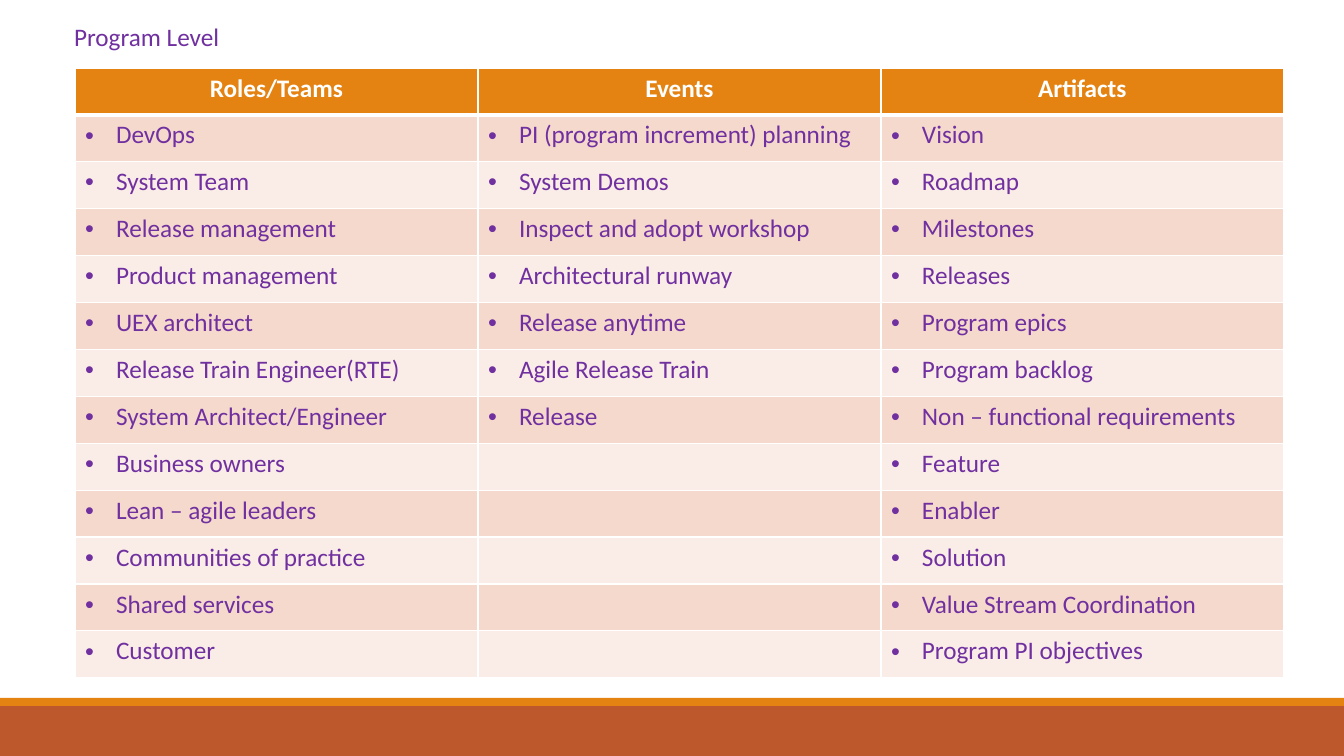
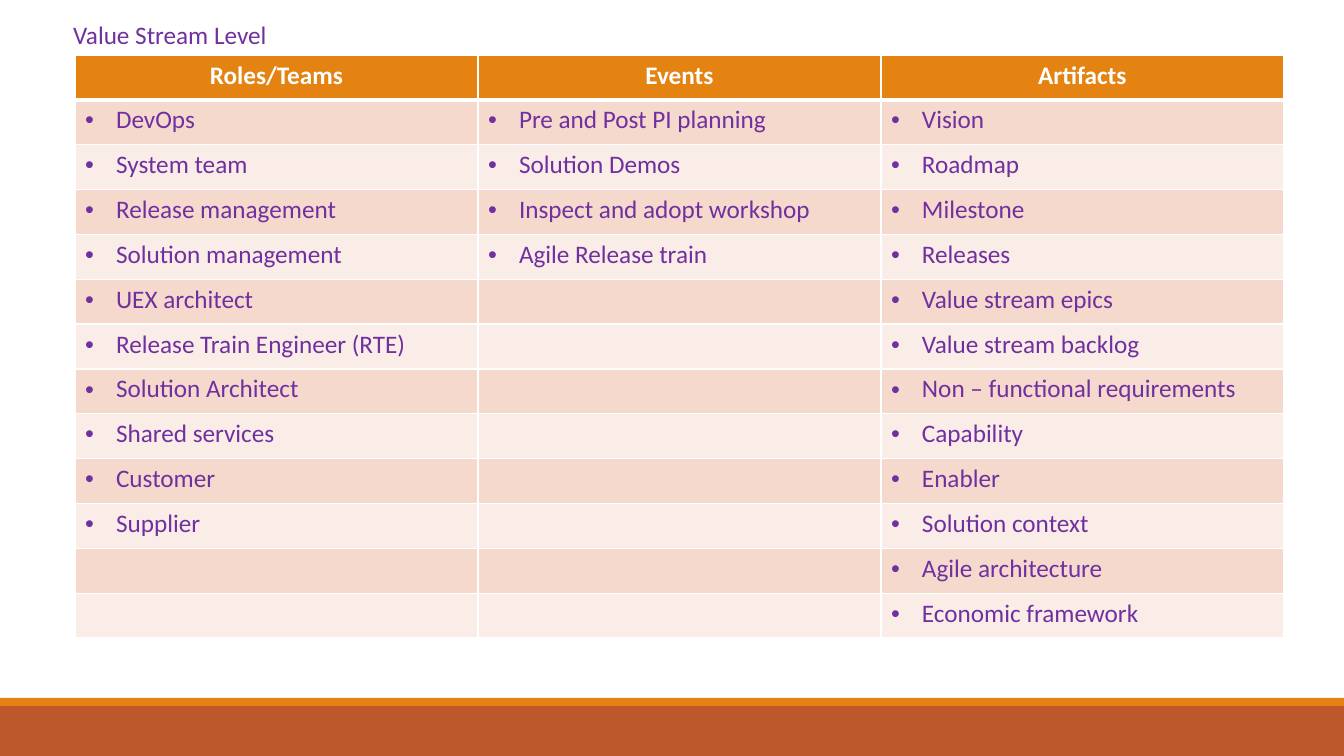
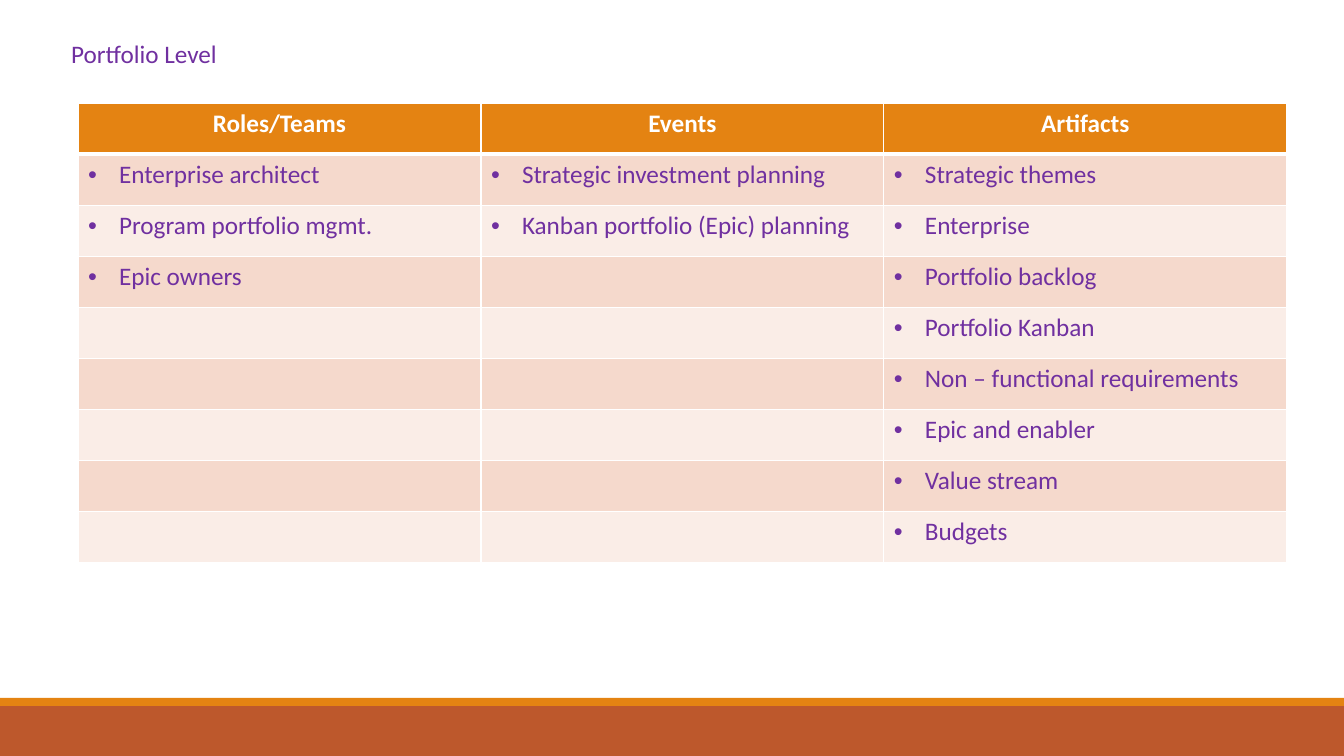
from itertools import zip_longest

from lxml.etree import SubElement
from pptx import Presentation
from pptx.dml.color import RGBColor
from pptx.enum.shapes import MSO_SHAPE
from pptx.enum.text import MSO_ANCHOR, MSO_AUTO_SIZE, PP_ALIGN
from pptx.oxml.ns import qn
from pptx.util import Emu, Pt

FONT = "Calibri"
COLORS = {
    "text": "7030A0",
    "white": "FFFFFF",
    "header": "E48312",
    "footer": "BD582C",
    "odd": "F5D9CC",
    "even": "FAEDE7",
}
PAGE_WIDTH, PAGE_HEIGHT = 1344, 756
TITLE_WIDTH, TITLE_HEIGHT = 307, 40
TABLE_WIDTH = 1209
BULLET_INDENT = 31
HEADINGS = ("Roles/Teams", "Events", "Artifacts")

LEVELS = [
    {
        "title": "Program Level",
        "title_at": (64, 16),
        "table_at": (75, 68),
        "table_height": 610,
        "columns": (
            ["DevOps", "System Team", "Release management", "Product management",
             "UEX architect", "Release Train Engineer(RTE)", "System Architect/Engineer",
             "Business owners", "Lean – agile leaders", "Communities of practice",
             "Shared services", "Customer"],
            ["PI (program increment) planning", "System Demos",
             "Inspect and adopt workshop", "Architectural runway", "Release anytime",
             "Agile Release Train", "Release"],
            ["Vision", "Roadmap", "Milestones", "Releases", "Program epics",
             "Program backlog", "Non – functional requirements", "Feature", "Enabler",
             "Solution", "Value Stream Coordination", "Program PI objectives"],
        ),
    },
    {
        "title": "Value Stream Level",
        "title_at": (63, 14),
        "table_at": (75, 55),
        "table_height": 583,
        "columns": (
            ["DevOps", "System team", "Release management", "Solution management",
             "UEX architect", "Release Train Engineer (RTE)", "Solution Architect",
             "Shared services", "Customer", "Supplier"],
            ["Pre and Post PI planning", "Solution Demos", "Inspect and adopt workshop",
             "Agile Release train"],
            ["Vision", "Roadmap", "Milestone", "Releases", "Value stream epics",
             "Value stream backlog", "Non – functional requirements", "Capability",
             "Enabler", "Solution context", "Agile architecture", "Economic framework"],
        ),
    },
    {
        "title": "Portfolio Level",
        "title_at": (61, 33),
        "table_at": (78, 103),
        "table_height": 460,
        "columns": (
            ["Enterprise architect", "Program portfolio mgmt.", "Epic owners"],
            ["Strategic investment planning", "Kanban portfolio (Epic) planning"],
            ["Strategic themes", "Enterprise", "Portfolio backlog", "Portfolio Kanban",
             "Non – functional requirements", "Epic and enabler", "Value stream",
             "Budgets"],
        ),
    },
]


def px(length):
    """Turn a length in px into EMU."""
    return Emu(round(length * 12192000 / PAGE_WIDTH))


def paint(fill, color):
    """Give a fill one of the named colours."""
    fill.solid()
    fill.fore_color.rgb = RGBColor.from_string(COLORS[color])


def write(frame, text, color="text", size=18, bold=False, align=PP_ALIGN.LEFT, bullet=False):
    """Write one formatted paragraph into a text frame."""
    para = frame.paragraphs[0]
    para.alignment = align
    span = para.add_run()
    span.text = text
    span.font.name = FONT
    span.font.size = Pt(size)
    span.font.bold = bold
    span.font.color.rgb = RGBColor.from_string(COLORS[color])
    if bullet:
        properties = para._p.get_or_add_pPr()
        properties.set("marL", str(px(BULLET_INDENT)))
        properties.set("indent", str(-px(BULLET_INDENT)))
        SubElement(properties, qn("a:buFont"), typeface="Arial")
        SubElement(properties, qn("a:buChar"), char="•")


def add_master_bands(deck, page):
    """Put the two footer bands on the slide master."""
    bands = [("footer", 706, PAGE_HEIGHT - 706), ("header", 698, 8)]
    for number, (color, top, height) in enumerate(bands):
        band = page.shapes.add_shape(
            MSO_SHAPE.RECTANGLE, 0, px(top), px(PAGE_WIDTH), px(height))
        band.shadow.inherit = False
        band.line.fill.background()
        paint(band.fill, color)
        band.element.nvSpPr.cNvPr.set("id", str(100 + number))
        deck.slide_master.shapes.element.insert(2 + number, band.element)


def set_title(page, text, left, top):
    """Place and format the title placeholder."""
    box = page.shapes.title
    box.left, box.top = px(left), px(top)
    box.width, box.height = px(TITLE_WIDTH), px(TITLE_HEIGHT)
    frame = box.text_frame
    frame.word_wrap = True
    frame.auto_size = MSO_AUTO_SIZE.SHAPE_TO_FIT_TEXT
    frame.vertical_anchor = MSO_ANCHOR.TOP
    write(frame, text)


def add_borders(cell, top=1, bottom=1):
    """Draw white borders round a cell, with widths in points."""
    properties = cell._tc.get_or_add_tcPr()
    for side, width in (("L", 1), ("R", 1), ("T", top), ("B", bottom)):
        line = SubElement(properties, qn(f"a:ln{side}"), w=str(Pt(width)))
        fill = SubElement(line, qn("a:solidFill"))
        SubElement(fill, qn("a:srgbClr"), val=COLORS["white"])


def add_level_table(page, columns, left, top, height):
    """Add a table with a heading row and banded bullet rows."""
    rows = [HEADINGS, *zip_longest(*columns, fillvalue="")]
    table = page.shapes.add_table(
        len(rows), len(HEADINGS), px(left), px(top), px(TABLE_WIDTH), px(height)).table
    for row, texts in enumerate(rows):
        for column, text in enumerate(texts):
            cell = table.cell(row, column)
            add_borders(cell, top=3 if row == 1 else 1, bottom=3 if row == 0 else 1)
            if row == 0:
                paint(cell.fill, "header")
                write(cell.text_frame, text, color="white", bold=True, align=PP_ALIGN.CENTER)
                continue
            paint(cell.fill, "odd" if row % 2 else "even")
            if text:
                write(cell.text_frame, text, bullet=True)


def main():
    """Build and save the deck."""
    deck = Presentation()
    deck.slide_width, deck.slide_height = px(PAGE_WIDTH), px(PAGE_HEIGHT)
    title_only = deck.slide_layouts[5]
    for level in LEVELS:
        page = deck.slides.add_slide(title_only)
        set_title(page, level["title"], *level["title_at"])
        add_level_table(page, level["columns"], *level["table_at"], level["table_height"])
    add_master_bands(deck, deck.slides[0])
    deck.save("out.pptx")


if __name__ == "__main__":
    main()
